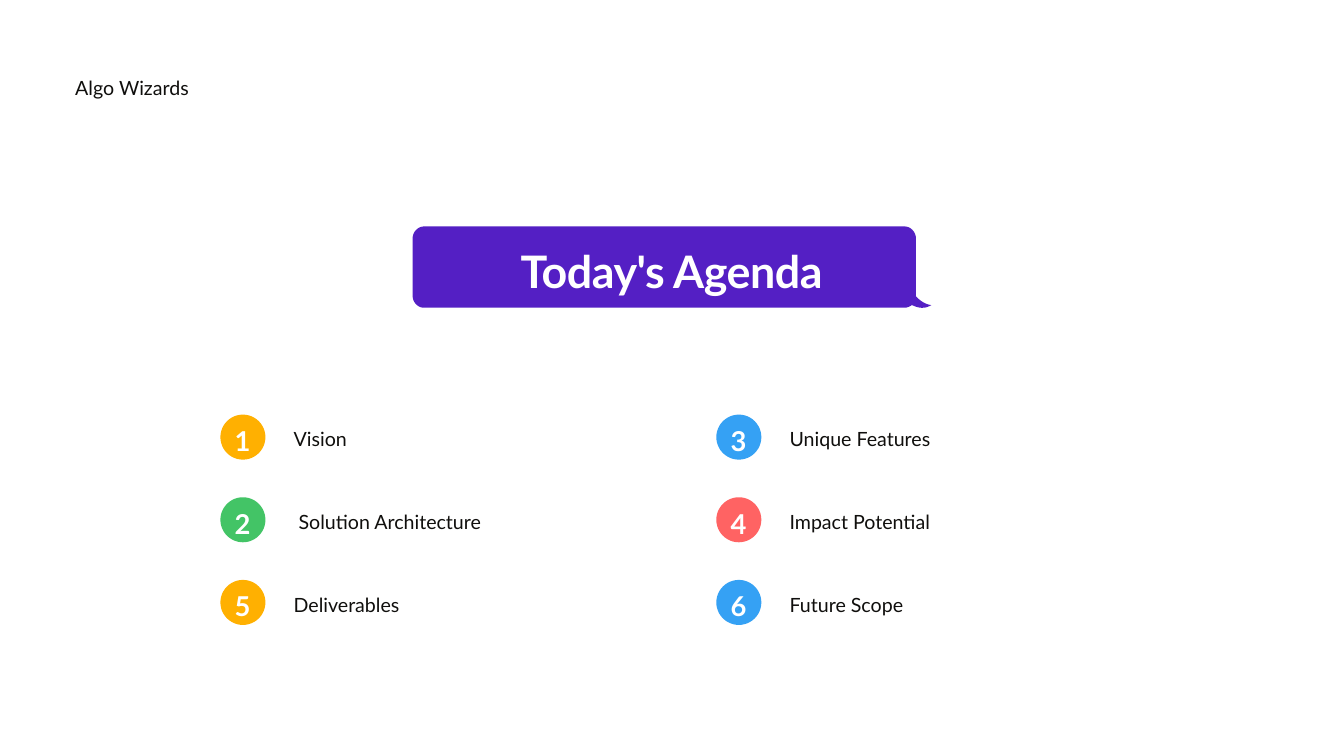
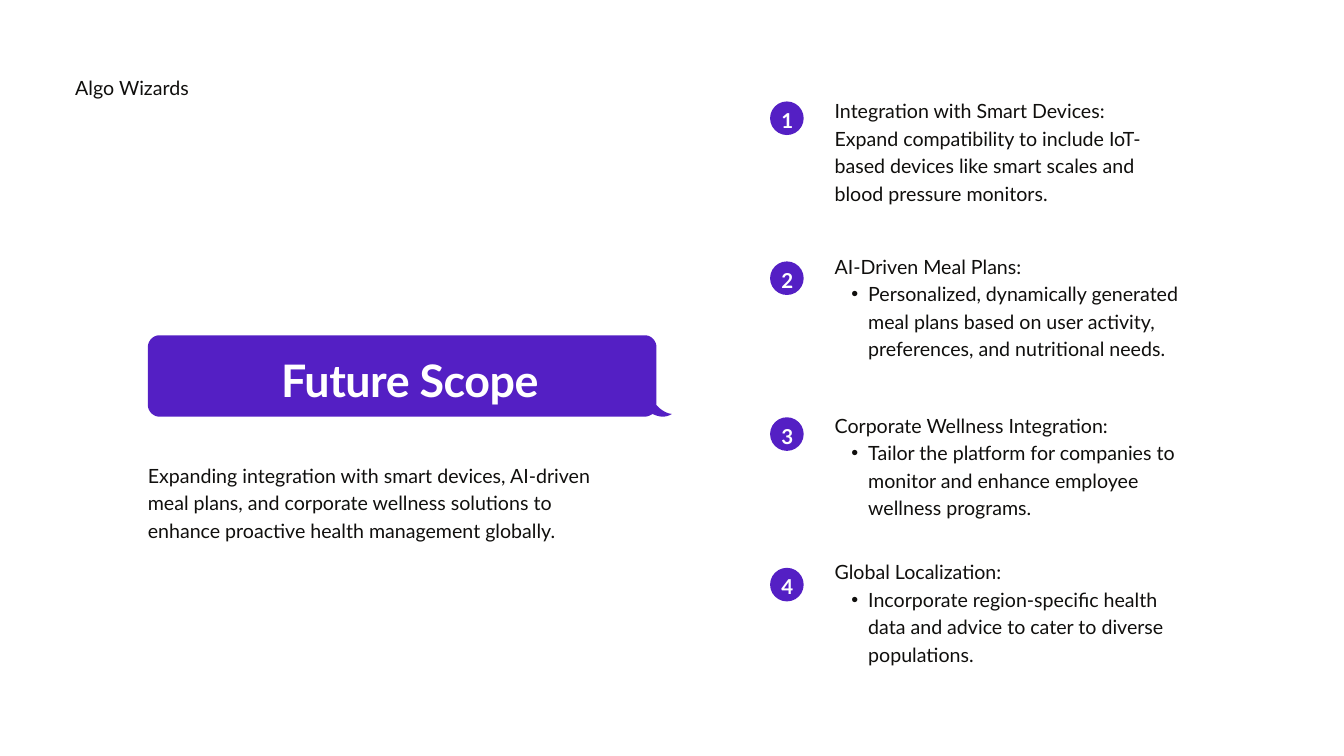
"""Build the agenda and future scope slides."""
from lxml.etree import SubElement
from pptx import Presentation
from pptx.dml.color import RGBColor
from pptx.enum.shapes import MSO_SHAPE
from pptx.enum.text import MSO_AUTO_SIZE, PP_ALIGN
from pptx.oxml.ns import qn
from pptx.util import Pt

PX = 9144
WIDTH, HEIGHT = 2000, 1125
TEAM = "Algo Wizards"

THEME = {
    "font": "Lato",
    "ink": "100F0D", "white": "FFFFFF", "violet": "541FC4",
    "amber": "FFB001", "green": "43C466", "blue": "35A1F4", "coral": "FF6363",
    "body": {"size": 21, "line": 29.4, "color": "ink"},
    "title": {"size": 48, "line": 67.2, "color": "white", "bold": True,
              "align": PP_ALIGN.CENTER, "track": -50},
    "large": {"size": 29.3, "line": 41, "color": "white", "bold": True,
              "align": PP_ALIGN.CENTER},
    "small": {"size": 22, "line": 30.9, "color": "white", "bold": True,
              "align": PP_ALIGN.CENTER},
}

BADGES = {
    "large": {"size": 67, "inset": (11, 6), "box": (44, 52)},
    "small": {"size": 50, "inset": (9, 3), "box": (33, 40)},
}

AGENDA = [
    [("1", "Vision", "amber"), ("3", "Unique Features", "blue")],
    [("2", " Solution Architecture", "green"), ("4", "Impact Potential", "coral")],
    [("5", "Deliverables", "amber"), ("6", "Future Scope", "blue")],
]

SUMMARY = ("Expanding integration with smart devices, AI-driven meal plans, and "
           "corporate wellness solutions to enhance proactive health management globally.")

SCOPE = [
    {"top": 142, "dot": 151, "high": 162, "bullet": False,
     "head": "Integration with Smart Devices:",
     "body": "Expand compatibility to include IoT-based devices like smart scales "
             "and blood pressure monitors."},
    {"top": 373, "dot": 389, "high": 242, "bullet": True,
     "head": "AI-Driven Meal Plans:",
     "body": "Personalized, dynamically generated meal plans based on user activity, "
             "preferences, and nutritional needs."},
    {"top": 610, "dot": 621, "high": 202, "bullet": True,
     "head": "Corporate Wellness Integration:",
     "body": "Tailor the platform for companies to monitor and enhance employee "
             "wellness programs."},
    {"top": 828, "dot": 845, "high": 201, "bullet": True,
     "head": "Global Localization:",
     "body": "Incorporate region-specific health data and advice to cater to diverse "
             "populations."},
]


def color(name):
    """Return a theme colour."""
    return RGBColor.from_string(THEME[name])


def paint(shape, fill):
    """Give a shape a flat fill with no line or shadow."""
    shape.shadow.inherit = False
    shape.fill.solid()
    shape.fill.fore_color.rgb = color(fill)
    shape.line.fill.background()


def indent(para):
    """Turn a paragraph into an indented bullet."""
    para.level = 1
    props = para._p.get_or_add_pPr()
    for key, value in {"marL": 50 * PX, "indent": -25 * PX}.items():
        props.set(key, str(value))
    SubElement(props, qn("a:buFont"), typeface="Arial")
    SubElement(props, qn("a:buChar"), char="•")


def write(slide, box, lines, style="body", bullet=False):
    """Add a text box, with an optional bullet on each line after the first."""
    look = THEME[style]
    frame = slide.shapes.add_textbox(*(n * PX for n in box)).text_frame
    format = {"word_wrap": True, "auto_size": MSO_AUTO_SIZE.SHAPE_TO_FIT_TEXT,
              "margin_left": 0, "margin_top": 0, "margin_right": 0, "margin_bottom": 0}
    for key, value in format.items():
        setattr(frame, key, value)
    for place, line in enumerate(lines):
        para = frame.add_paragraph() if place else frame.paragraphs[0]
        para.alignment = look.get("align")
        para.line_spacing = Pt(look["line"])
        if bullet and place:
            indent(para)
        run = para.add_run()
        run.text = line
        font = {"name": THEME["font"], "size": Pt(look["size"]),
                "bold": look.get("bold", False)}
        for key, value in font.items():
            setattr(run.font, key, value)
        run.font.color.rgb = color(look["color"])
        if "track" in look:
            run._r.get_or_add_rPr().set("spc", str(look["track"]))


def badge(slide, left, top, digit, fill, kind):
    """Add a numbered disc."""
    form = BADGES[kind]
    size = form["size"] * PX
    paint(slide.shapes.add_shape(MSO_SHAPE.OVAL, left * PX, top * PX, size, size), fill)
    across, down = form["inset"]
    write(slide, (left + across, top + down, *form["box"]), [digit], kind)


def curve(ends, steps=12):
    """Return points along a cubic curve, after its start."""
    def blend(t, a, b, c, d):
        s = 1 - t
        return a * s**3 + 3 * b * s * s * t + 3 * c * s * t * t + d * t**3
    return [tuple(blend(i / steps, *axis) for axis in zip(*ends))
            for i in range(1, steps + 1)]


def bubble(slide, left, top, width):
    """Add a speech banner with a tail at its lower right."""
    right, base, bend = width - 23, 121, 18
    route = [
        [(right, bend)],
        [(right, 8), (right - 8, 0), (right - 17, 0)], [(17, 0)],
        [(8, 0), (0, 8), (0, bend)], [(0, base - bend)],
        [(0, base - 8), (8, base), (17, base)], [(right - 17, base)],
        [(right - 13, base), (right - 9, 119), (right - 6, 117)],
        [(right - 1, 119), (right + 10, 125), (width, 117)],
        [(width, 117), (right + 12, 117), (right, 104)],
    ]
    points = [(right, 104)]
    for leg in route:
        points += leg if len(leg) == 1 else curve([points[-1], *leg])
    spots = [((left + x) * PX, (top + y) * PX) for x, y in points]
    pen = slide.shapes.build_freeform(*spots[0], scale=1.0)
    pen.add_line_segments(spots[1:], close=True)
    paint(pen.convert_to_shape(), "violet")


def banner(slide, place, label, title):
    """Add a banner and its title."""
    bubble(slide, *place)
    write(slide, label, [title], "title")


def start(deck):
    """Add a blank slide with the team name."""
    slide = deck.slides.add_slide(deck.slide_layouts[6])
    write(slide, (112, 107, 430, 40), [TEAM])
    return slide


def agenda(deck):
    """Build the agenda slide."""
    slide = start(deck)
    banner(slide, (614, 337, 772), (680, 350, 639, 87), "Today's Agenda")
    for row, pair in enumerate(AGENDA):
        for col, (digit, topic, fill) in enumerate(pair):
            left, top = 328 + 738 * col, 617 + 123 * row
            write(slide, (left + 109, top + 13, 530, 39), [topic])
            badge(slide, left, top, digit, fill, "large")


def scope(deck):
    """Build the future scope slide."""
    slide = start(deck)
    banner(slide, (220, 499, 780), (301, 512, 618, 87), "Future Scope")
    write(slide, (220, 684, 675, 161), [SUMMARY])
    for count, item in enumerate(SCOPE, 1):
        write(slide, (1242, item["top"], 512, item["high"]),
              [item["head"], item["body"]], bullet=item["bullet"])
        badge(slide, 1146, item["dot"], str(count), "violet", "small")


def main():
    """Build and save the deck."""
    deck = Presentation()
    deck.slide_width, deck.slide_height = WIDTH * PX, HEIGHT * PX
    agenda(deck)
    scope(deck)
    deck.save("out.pptx")


if __name__ == "__main__":
    main()
